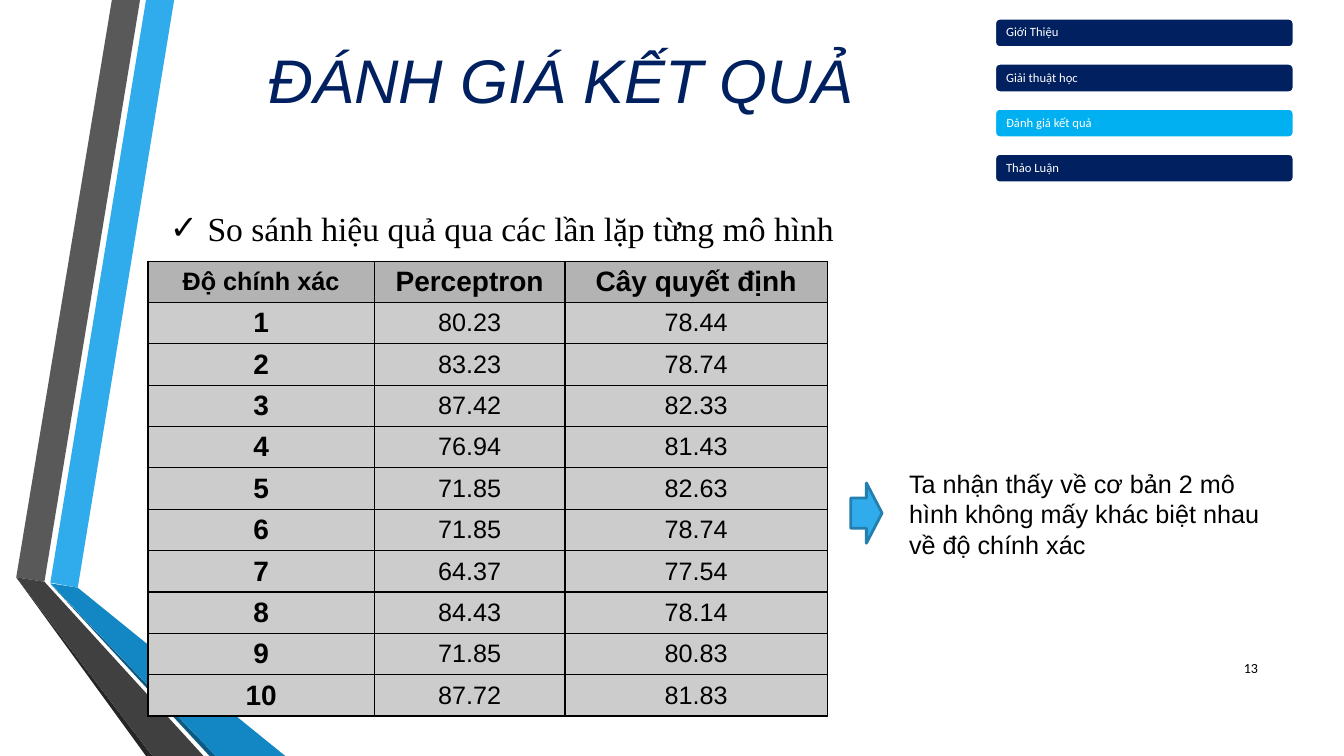
from dataclasses import dataclass

from lxml.etree import SubElement as Sub
from pptx import Presentation
from pptx.dml.color import RGBColor as Rgb
from pptx.enum.shapes import MSO_SHAPE as Kind
from pptx.enum.text import MSO_ANCHOR as Anchor, MSO_AUTO_SIZE as Fit, PP_ALIGN as Align
from pptx.oxml.ns import qn
from pptx.util import Cm, Pt


@dataclass(frozen=True)
class Theme:
    navy: str = "002060"
    cyan: str = "00B0F0"
    sky: str = "30ACEC"
    rim: str = "247FAF"
    blue: str = "1287C3"
    deep: str = "0C5A82"
    gray: str = "595959"
    dark: str = "404040"
    soot: str = "262626"
    head: str = "B3B3B3"
    cell: str = "CCCCCC"
    black: str = "000000"
    white: str = "FFFFFF"
    sans: str = "Arial"
    serif: str = "Times New Roman"
    small: str = "Calibri"
    title: int = 44
    list: int = 24
    key: int = 20
    text: int = 18
    page: int = 10
    tab: int = 9


T = Theme()
TABS = ["Giới Thiệu", "Giải thuật học", "Đánh giá kết quả", "Thảo Luận"]
HEAD = ["Độ chính xác", "Perceptron", "Cây quyết định"]
SCORES = [
    ("80.23", "78.44"), ("83.23", "78.74"), ("87.42", "82.33"), ("76.94", "81.43"),
    ("71.85", "82.63"), ("71.85", "78.74"), ("64.37", "77.54"), ("84.43", "78.14"),
    ("71.85", "80.83"), ("87.72", "81.83"),
]
# Outlines in cm, back to front
RIBBON = [
    (T.sky, [(1.27, 14.68), (1.96, 14.81), (4.39, 0), (3.68, 0)]),
    (T.gray, [(3.53, 0), (2.82, 0), (0.41, 14.55), (1.12, 14.66)]),
    (T.soot, [(0.41, 14.55), (3.68, 19.05), (3.84, 19.05)]),
    (T.deep, [(1.27, 14.71), (5.28, 19.05), (5.44, 19.05)]),
    (T.blue, [(1.27, 14.7), (5.44, 19.05), (7.19, 19.05), (1.96, 14.81)]),
    (T.dark, [(5.13, 19.05), (1.12, 14.66), (0.41, 14.55), (3.84, 19.05)]),
]


def cms(box):
    return [Cm(n) for n in box]


def place(shape, box):
    shape.left, shape.top, shape.width, shape.height = cms(box)


def write(frame, text, font, size, color, align=Align.LEFT, bold=False, slant=False):
    """Add one styled run to the first paragraph and return that paragraph."""
    para = frame.paragraphs[0]
    para.alignment = align
    run = para.add_run()
    run.text = text
    style = run.font
    style.name, style.size = font, Pt(size)
    style.bold, style.italic = bold, slant
    style.color.rgb = Rgb.from_string(color)
    return para


def paint(shape, fill, line=None):
    shape.shadow.inherit = False
    shape.fill.solid()
    shape.fill.fore_color.rgb = Rgb.from_string(fill)
    if line:
        shape.line.color.rgb = Rgb.from_string(line)
        shape.line.width = Pt(2)
    else:
        shape.line.fill.background()


def add_ribbon(slide, box):
    left, top = box[:2]
    for color, dots in RIBBON:
        first, *rest = [(Cm(left + x), Cm(top + y)) for x, y in dots]
        pen = slide.shapes.build_freeform(*first)
        pen.add_line_segments(rest)
        paint(pen.convert_to_shape(), color)


def add_title(slide, box):
    title = slide.shapes.title
    place(title, box)
    frame = title.text_frame
    frame.auto_size, frame.vertical_anchor = Fit.NONE, Anchor.MIDDLE
    write(frame, "ĐÁNH GIÁ KẾT QUẢ", T.sans, T.title, T.navy, Align.CENTER, slant=True)


def add_list(slide, box):
    body = slide.placeholders[1]
    place(body, box)
    frame = body.text_frame
    frame.auto_size, frame.vertical_anchor = Fit.NONE, Anchor.TOP
    para = write(frame, "So sánh hiệu quả qua các lần lặp từng mô hình",
                 T.serif, T.list, T.black, Align.CENTER)
    para.space_before = Pt(0)
    props = para._p.get_or_add_pPr()
    props.set("marL", str(Cm(0.95)))
    props.set("indent", str(-Cm(0.95)))
    Sub(props, qn("a:buFont"), typeface=T.sans)
    Sub(props, qn("a:buChar"), char="✓")


def add_tabs(slide, box, active):
    left, top, width, height = box
    tall = 0.74
    step = (height - tall) / (len(TABS) - 1)
    for i, name in enumerate(TABS):
        tab = slide.shapes.add_shape(
            Kind.ROUNDED_RECTANGLE, *cms((left, top + i * step, width, tall)))
        paint(tab, T.cyan if i == active else T.navy, T.white)
        frame = tab.text_frame
        frame.word_wrap, frame.vertical_anchor = True, Anchor.MIDDLE
        frame.margin_left = frame.margin_right = Cm(0.25)
        frame.margin_top = frame.margin_bottom = Cm(0.03)
        para = write(frame, name, T.small, T.tab, T.white)
        para.line_spacing, para.space_after = 0.9, Pt(3)


def edge(cell):
    """Draw a thin black border on all four sides, before the fill."""
    props = cell._tc.get_or_add_tcPr()
    for side in ("lnL", "lnR", "lnT", "lnB"):
        line = Sub(props, qn("a:" + side), w=str(Pt(1)))
        Sub(Sub(line, qn("a:solidFill")), qn("a:srgbClr"), val=T.black)


def add_scores(slide, box):
    rows = [HEAD] + [(str(i), *pair) for i, pair in enumerate(SCORES, 1)]
    table = slide.shapes.add_table(len(rows), len(HEAD), *cms(box)).table
    table.first_row = table.horz_banding = False
    for col, part in zip(table.columns, (0.333, 0.281, 0.386)):
        col.width = Cm(box[2] * part)
    for r, row in enumerate(rows):
        table.rows[r].height = Cm(box[3] / len(rows))
        for c, text in enumerate(row):
            cell = table.cell(r, c)
            edge(cell)
            cell.fill.solid()
            cell.fill.fore_color.rgb = Rgb.from_string(T.cell if r else T.head)
            cell.vertical_anchor = Anchor.MIDDLE
            key = (r == 0) != (c == 0)
            write(cell.text_frame, text, T.sans, T.key if key else T.text, T.black,
                  Align.CENTER, bold=r == 0 or c == 0)


def add_note(slide, box):
    left, top, width, height = box
    arrow = slide.shapes.add_shape(
        Kind.RIGHT_ARROW, *cms((left, top + 0.49, 0.79, 1.52)))
    paint(arrow, T.sky, T.rim)
    note = slide.shapes.add_textbox(*cms((left + 1.22, top, width - 1.22, height)))
    note.text_frame.word_wrap = True
    write(note.text_frame,
          "Ta nhận thấy về cơ bản 2 mô hình không mấy khác biệt nhau về độ chính xác",
          T.sans, T.text, T.black)


def add_page(slide, box):
    frame = slide.shapes.add_textbox(*cms(box)).text_frame
    frame.word_wrap, frame.vertical_anchor = True, Anchor.MIDDLE
    write(frame, "13", T.small, T.page, T.black, Align.RIGHT)


def main():
    deck = Presentation()
    deck.slide_width, deck.slide_height = Cm(33.87), Cm(19.05)
    slide = deck.slides.add_slide(deck.slide_layouts[1])
    add_ribbon(slide, (0, 0, 7.19, 19.05))
    add_title(slide, (0.23, -0.46, 27.84, 4.88))
    add_list(slide, (3.25, 5.11, 18.8, 1.27))
    add_tabs(slide, (25.07, 0.46, 7.54, 4.15), active=2)
    add_scores(slide, (3.73, 6.58, 17.12, 11.46))
    add_note(slide, (21.44, 11.68, 10.82, 2.57))
    add_page(slide, (30.43, 16.33, 1.52, 1.02))
    deck.save("out.pptx")


if __name__ == "__main__":
    main()
